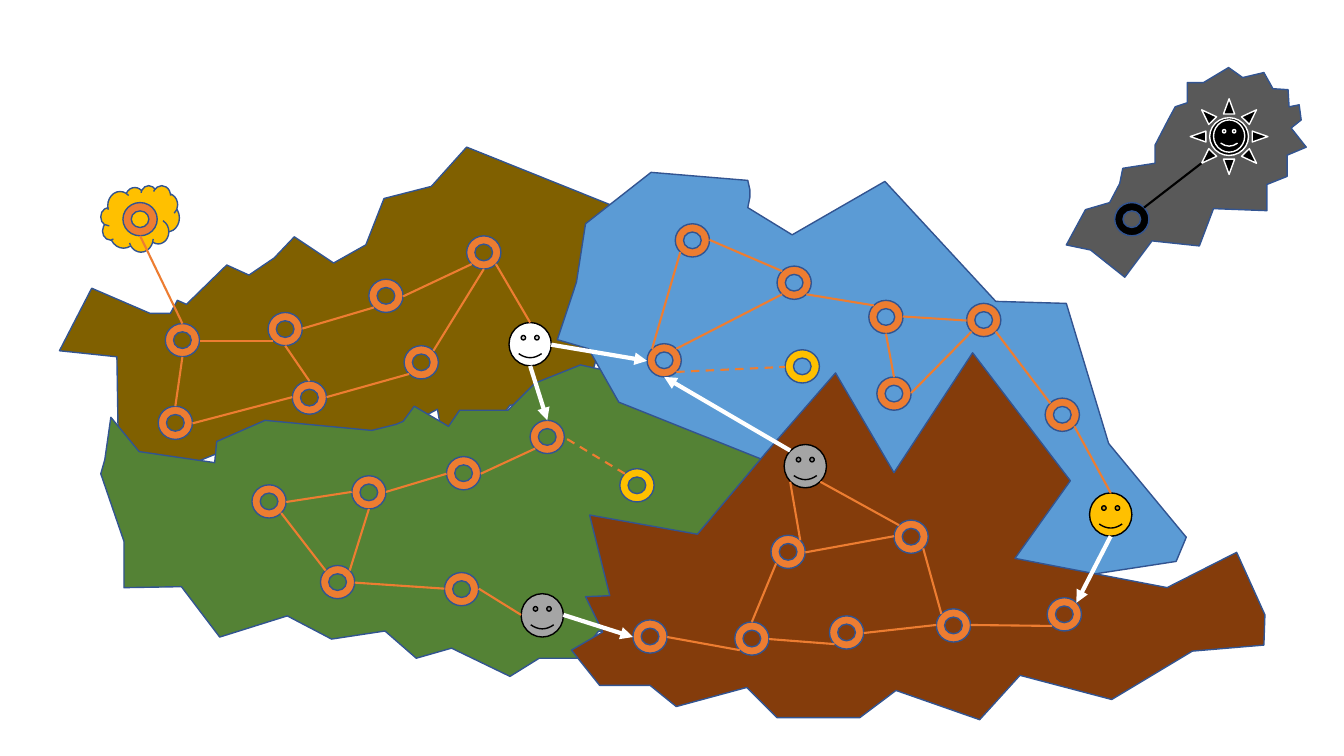
from dataclasses import dataclass
from math import hypot

from lxml.etree import SubElement
from pptx import Presentation
from pptx.dml.color import RGBColor
from pptx.enum.dml import MSO_LINE
from pptx.enum.shapes import MSO_CONNECTOR, MSO_SHAPE
from pptx.oxml.ns import qn
from pptx.util import Cm, Pt

HUNDREDTH_INCH = Cm(0.0254)
OUTLINE, ORANGE, GOLD, GRAY = "325491", "ED7D31", "FFC000", "A5A5A5"
BLACK, WHITE = "000000", "FFFFFF"
STOP_SIZE, FACE_SIZE = (34, 33), (42, 43)
COMPASS = {
    "N": (0, -1), "NE": (1, -1), "E": (1, 0), "SE": (1, 1),
    "S": (0, 1), "SW": (-1, 1), "W": (-1, 0), "NW": (-1, -1),
}


@dataclass
class Land:
    fill: str
    coast: list
    stops: dict
    roads: list
    stop_fill: str = ORANGE


@dataclass
class Place:
    kind: MSO_SHAPE
    corner: tuple
    size: tuple
    fill: str
    line: str = OUTLINE

    def rim_point(self, direction):
        step = COMPASS[direction]
        reach = 2 * hypot(*step)
        return [
            round(start + length / 2 + length * part / reach)
            for start, length, part in zip(self.corner, self.size, step)
        ]


WEST = Land(
    "806000",
    [(149, 311), (169, 311), (176, 298), (185, 302), (225, 263), (247, 273), (272, 256),
     (292, 235), (331, 261), (363, 243), (381, 197), (428, 185), (463, 146), (625, 211),
     (619, 288), (648, 305), (636, 338), (596, 342), (589, 365), (543, 376), (534, 400),
     (506, 402), (497, 414), (492, 410), (469, 417), (455, 422), (438, 429), (434, 406),
     (419, 414), (408, 431), (404, 443), (385, 448), (247, 437), (181, 464), (178, 480),
     (118, 475), (117, 419), (116, 354), (59, 348), (91, 286)],
    {"cloud": (122, 201), "gate": (164, 321), "fork": (266, 310), "corner": (157, 403),
     "ridge": (366, 277), "bend": (290, 378), "meadow": (401, 343), "peak": (463, 234)},
    ["cloud S - gate N", "gate S - corner N", "fork SW - gate E", "ridge SW - fork E",
     "bend N - fork S", "bend W - corner E", "meadow SW - bend E", "peak SW - ridge E",
     "peak S - meadow NE", "white face N - peak SE"],
)
FOREST = Land(
    "548235",
    [(215, 438), (263, 417), (369, 427), (393, 421), (400, 418), (411, 403), (445, 423),
     (456, 407), (504, 407), (531, 380), (576, 362), (674, 384), (698, 372), (750, 394),
     (761, 467), (762, 513), (762, 561), (681, 548), (682, 592), (649, 634), (594, 626),
     (573, 653), (535, 653), (506, 671), (448, 643), (413, 653), (382, 626), (329, 634),
     (285, 611), (218, 632), (180, 582), (123, 583), (123, 537), (100, 470), (104, 456),
     (110, 414), (138, 448), (213, 459)],
    {"glade": (526, 417), "hill": (443, 453), "grove": (349, 472), "edge": (250, 481),
     "dell": (318, 561), "ford": (441, 568)},
    ["glade SW - hill E", "hill W - grove E", "grove W - edge E", "dell NW - edge SE",
     "ford W - dell E", "dell NE - grove S", "ford E - forest face W"],
)
LAKE = Land(
    "5B9BD5",
    [(572, 280), (581, 222), (646, 171), (742, 179), (744, 188), (744, 196), (742, 206),
     (786, 233), (878, 180), (988, 299), (1058, 301), (1100, 440), (1177, 533), (1167, 557),
     (1017, 580), (950, 399), (902, 514), (614, 399), (584, 346), (553, 337)],
    {"landing": (642, 341), "cape": (670, 222), "bay": (771, 264), "reef": (862, 298),
     "cove": (870, 374), "strait": (959, 301), "shore": (1037, 395)},
    ["landing NW - cape SW", "landing NE - bay SW", "bay NW - cape E", "reef NW - bay SE",
     "cove N - reef S", "strait W - reef E", "strait SW - cove E", "shore NW - strait SE",
     "gold face N - shore SE"],
)
MOUNTAIN = Land(
    "843C0B",
    [(1158, 583), (1007, 554), (1062, 477), (965, 350), (887, 469), (829, 370), (761, 448),
     (692, 530), (585, 511), (605, 591), (581, 592), (598, 627), (567, 645), (595, 680),
     (645, 680), (671, 701), (741, 682), (771, 712), (853, 712), (889, 685), (972, 714),
     (1012, 670), (1103, 694), (1183, 646), (1254, 640), (1255, 610), (1227, 548)],
    {"beach": (628, 615), "camp": (729, 617), "gulch": (823, 611), "quarry": (929, 604),
     "pier": (1039, 593), "crag": (887, 516), "mine": (765, 531)},
    ["beach E - camp SW", "camp E - gulch SW", "gulch E - quarry W", "quarry E - pier SW",
     "camp N - mine SW", "quarry NW - crag SE", "crag NW - mountain face SE",
     "mine NE - mountain face SW", "mine E - crag W"],
)
ISLAND = Land(
    "595959",
    [(1058, 243), (1082, 248), (1116, 275), (1143, 239), (1190, 244), (1204, 207),
     (1257, 209), (1257, 183), (1277, 175), (1277, 154), (1296, 146), (1281, 127),
     (1291, 119), (1289, 104), (1279, 106), (1278, 89), (1263, 88), (1254, 72), (1233, 77),
     (1219, 67), (1194, 82), (1178, 82), (1178, 102), (1166, 106), (1159, 119), (1146, 144),
     (1146, 162), (1114, 167), (1111, 182), (1101, 201), (1077, 208)],
    {"tower": (1106, 201)},
    ["sun SW - tower NE"],
    BLACK,
)
LANDS = [WEST, FOREST, LAKE, MOUNTAIN, ISLAND]
SECRET_STOPS = {"forest secret": (615, 465), "lake secret": (779, 347)}
FACES = {
    "white face": ((505, 320), WHITE), "gold face": ((1081, 489), GOLD),
    "forest face": ((517, 589), GRAY), "mountain face": ((778, 441), GRAY),
}
SECRET_ROADS = ["forest secret NW - glade E", "landing SE - lake secret W"]
CROSSINGS = [
    "white face E - landing W", "white face S - glade N", "forest face E - beach W",
    "gold face S - pier NE", "mountain face NW - landing S",
]


def color(hex_text):
    return RGBColor.from_string(hex_text)


def to_lengths(values):
    return [value * HUNDREDTH_INCH for value in values]


def paint(shape, fill, line):
    shape.shadow.inherit = False
    shape.fill.solid()
    shape.fill.fore_color.rgb = color(fill)
    shape.line.color.rgb = color(line)
    shape.line.width = Pt(1)


def add_land(slide, land):
    builder = slide.shapes.build_freeform(*land.coast[0], scale=HUNDREDTH_INCH)
    builder.add_line_segments(land.coast[1:], close=True)
    paint(builder.convert_to_shape(), land.fill, OUTLINE)


def add_place(slide, place):
    shape = slide.shapes.add_shape(place.kind, *to_lengths((*place.corner, *place.size)))
    paint(shape, place.fill, place.line)


def add_road(slide, places, road, line=ORANGE, width=1.5, dashed=False, arrow=False):
    ends = []
    for stop in road.split(" - "):
        name, direction = stop.rsplit(" ", 1)
        ends += places[name].rim_point(direction)
    connector = slide.shapes.add_connector(MSO_CONNECTOR.STRAIGHT, *to_lengths(ends))
    connector.line.color.rgb = color(line)
    connector.line.width = Pt(width)
    if dashed:
        connector.line.dash_style = MSO_LINE.DASH
    if arrow:
        SubElement(connector.line._get_or_add_ln(), qn("a:tailEnd"), type="triangle")
    SubElement(connector._element.spPr, qn("a:effectLst"))


def build_places():
    places = {"cloud puff": Place(MSO_SHAPE.CLOUD, (100, 184), (78, 66), GOLD)}
    stop_groups = [(land.stops, land.stop_fill) for land in LANDS] + [(SECRET_STOPS, GOLD)]
    for stops, fill in stop_groups:
        for name, corner in stops.items():
            places[name] = Place(MSO_SHAPE.DONUT, corner, STOP_SIZE, fill)
    for name, (corner, fill) in FACES.items():
        places[name] = Place(MSO_SHAPE.SMILEY_FACE, corner, FACE_SIZE, fill, BLACK)
    places["sun"] = Place(MSO_SHAPE.SUN, (1181, 98), (77, 75), BLACK, WHITE)
    places["sun face"] = Place(MSO_SHAPE.SMILEY_FACE, (1204, 119), (31, 32), BLACK, WHITE)
    return places


def main():
    presentation = Presentation()
    presentation.slide_width, presentation.slide_height = Cm(33.87), Cm(19.05)
    slide = presentation.slides.add_slide(presentation.slide_layouts[6])
    places = build_places()
    for land in LANDS:
        add_land(slide, land)
    for place in places.values():
        add_place(slide, place)
    for land in LANDS:
        for road in land.roads:
            add_road(slide, places, road, land.stop_fill)
    for road in SECRET_ROADS:
        add_road(slide, places, road, dashed=True)
    for road in CROSSINGS:
        add_road(slide, places, road, WHITE, 3, arrow=True)
    presentation.save("out.pptx")


if __name__ == "__main__":
    main()
